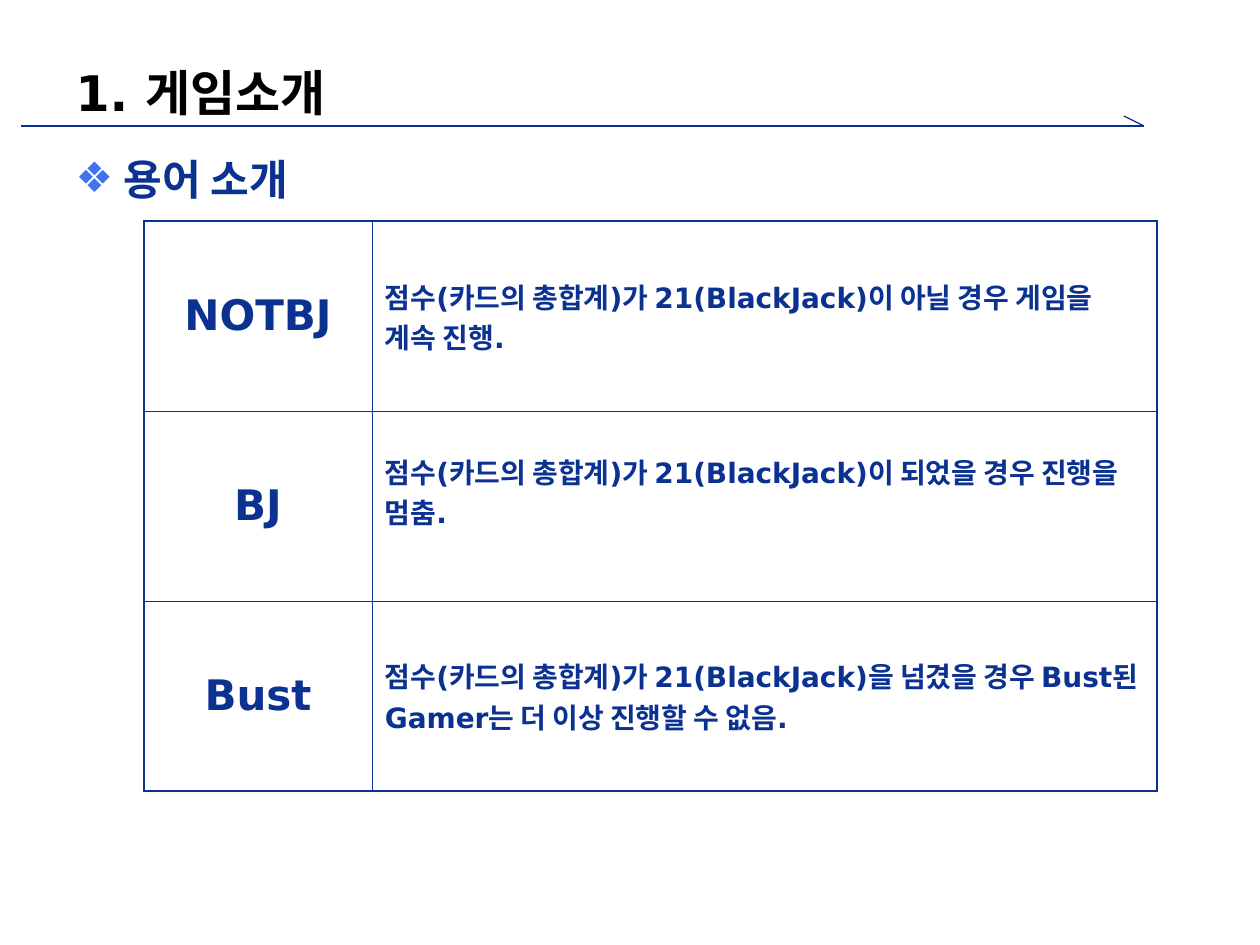
from dataclasses import dataclass

from pptx import Presentation
from pptx.dml.color import RGBColor as RGB
from pptx.enum.shapes import MSO_CONNECTOR as CONN
from pptx.enum.text import MSO_ANCHOR as ANCHOR, MSO_AUTO_SIZE as AUTO, PP_ALIGN as ALIGN
from pptx.oxml.xmlchemy import OxmlElement as Elem
from pptx.util import Emu, Pt


@dataclass(frozen=True)
class Theme:
    font: str = "DejaVu Sans"
    black: str = "000000"
    navy: str = "0B3191"
    bullet: str = "4173F1"
    title: int = 28
    heading: int = 24
    text: int = 16
    rule: float = 0.75
    outer: float = 1.47
    inner: float = 0.45


def px(n):
    return Emu(round(n * 914400 / 126))


def sub(parent, tag, **attrs):
    el = Elem(tag)
    for name, value in attrs.items():
        el.set(name, str(value))
    parent.append(el)
    return el


class Deck:
    """Holds the theme and the current slide, and adds elements to it."""

    def __init__(self, theme):
        self.theme = theme
        self.prs = Presentation()
        self.prs.slide_width, self.prs.slide_height = px(1260), px(945)
        self.slide = self.prs.slides.add_slide(self.prs.slide_layouts[1])

    def run(self, p, text, size, color):
        r = p.add_run()
        r.text = text
        r.font.name, r.font.size, r.font.bold = self.theme.font, Pt(size), True
        r.font.color.rgb = RGB.from_string(color)

    def line(self, x1, y1, x2, y2):
        sp = self.slide.shapes.add_connector(CONN.STRAIGHT, px(x1), px(y1), px(x2), px(y2))
        sp.line.color.rgb = RGB.from_string(self.theme.navy)
        sp.line.width = Pt(self.theme.rule)
        sub(sp._element.spPr, "a:effectLst")

    def place(self, sp, x, y, w, h, anchor):
        sp.left, sp.top, sp.width, sp.height = px(x), px(y), px(w), px(h)
        tf = sp.text_frame
        tf.auto_size, tf.vertical_anchor = AUTO.NONE, anchor
        p = tf.paragraphs[0]
        p.alignment = ALIGN.LEFT
        return p

    def title(self, text, *box):
        p = self.place(self.slide.shapes.title, *box, ANCHOR.MIDDLE)
        self.run(p, text, self.theme.title, self.theme.black)

    def bullet(self, text, *box):
        p = self.place(self.slide.placeholders[1], *box, ANCHOR.TOP)
        p.space_before = Pt(6)
        pPr = p._p.get_or_add_pPr()
        pPr.set("marL", str(px(48)))
        pPr.set("indent", str(-px(48)))
        sub(sub(pPr, "a:buClr"), "a:srgbClr", val=self.theme.bullet)
        sub(pPr, "a:buChar", char="❖")
        self.run(p, text, self.theme.heading, self.theme.navy)

    def border(self, cell, side, width):
        ln = sub(cell._tc.get_or_add_tcPr(), f"a:ln{side}", w=Pt(width))
        sub(sub(ln, "a:solidFill"), "a:srgbClr", val=self.theme.navy)

    def cell(self, cell, text, size, align, before):
        cell.vertical_anchor = ANCHOR.MIDDLE
        cell.margin_left = cell.margin_right = px(13)
        cell.margin_top = cell.margin_bottom = px(6)
        p = cell.text_frame.paragraphs[0]
        p.alignment, p.space_before = align, Pt(before)
        self.run(p, text, size, self.theme.navy)

    def table(self, rows, x, y, widths, row_height):
        t = self.theme
        n, m = len(rows), len(widths)
        table = self.slide.shapes.add_table(
            n, m, px(x), px(y), px(sum(widths)), px(n * row_height)).table
        table.first_row = table.horz_banding = False
        for col, width in zip(table.columns, widths):
            col.width = px(width)
        for i, (term, meaning) in enumerate(rows):
            table.rows[i].height = px(row_height)
            self.cell(table.cell(i, 0), term, t.heading, ALIGN.CENTER, 6)
            self.cell(table.cell(i, 1), meaning, t.text, ALIGN.LEFT, 4)
            for j in range(m):
                cell = table.cell(i, j)
                edges = {"L": j == 0, "R": j == m - 1, "T": i == 0, "B": i == n - 1}
                for side, is_outer in edges.items():
                    self.border(cell, side, t.outer if is_outer else t.inner)
                cell.fill.background()
        return table


def main():
    deck = Deck(Theme())
    deck.line(21, 126, 1144, 126)
    deck.line(1124, 116, 1144, 126)
    deck.title("1. 게임소개", 63, 53, 1061, 78)
    deck.bullet("용어 소개", 63, 147, 557, 713)
    terms = [
        ("NOTBJ", "점수(카드의 총합계)가 21(BlackJack)이 아닐 경우 게임을 계속 진행."),
        ("BJ", "점수(카드의 총합계)가 21(BlackJack)이 되었을 경우 진행을 멈춤."),
        ("Bust", "점수(카드의 총합계)가 21(BlackJack)을 넘겼을 경우 "
                 "Bust된 Gamer는 더 이상 진행할 수 없음."),
    ]
    table = deck.table(terms, 144, 221, (228, 785), 190)
    table.cell(1, 1).margin_bottom = px(36)
    deck.prs.save("out.pptx")


if __name__ == "__main__":
    main()
